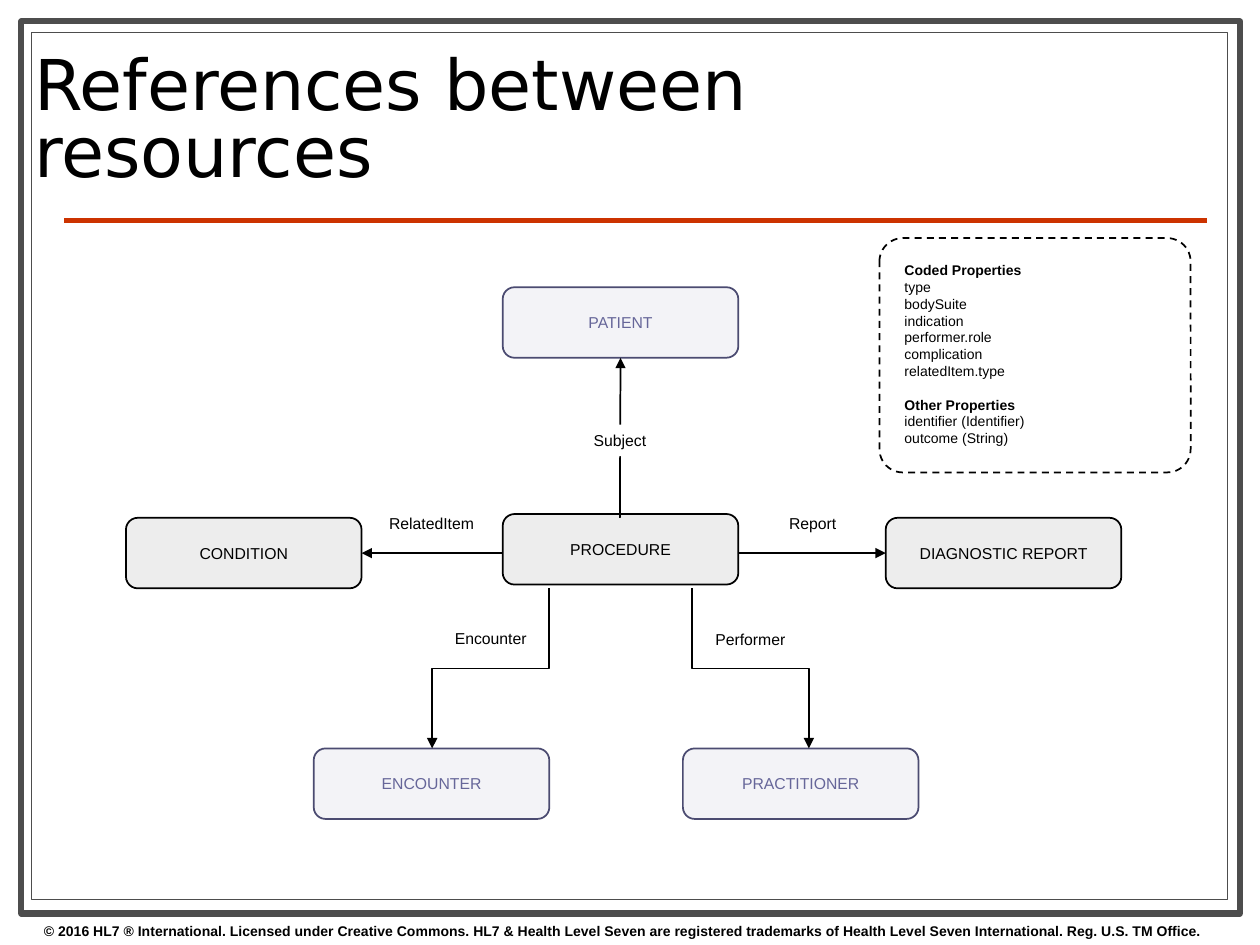
import pptx
import pptx.dml.color
import pptx.enum.dml
import pptx.enum.shapes
import pptx.enum.text
import pptx.oxml
import pptx.oxml.ns
import pptx.util
from lxml import etree
from pptx.util import Inches

SHAPE = pptx.enum.shapes.MSO_SHAPE
CONNECTOR = pptx.enum.shapes.MSO_CONNECTOR
ALIGN = pptx.enum.text.PP_ALIGN
ANCHOR = pptx.enum.text.MSO_ANCHOR
BLACK, FRAME_GREY, RULE_RED = "000000", "4D4D4D", "CC3300"
ACTION = (BLACK, BLACK, 7)
ENTITY = ("666699", "4B4B71", 8)
NODE_WIDTH, NODE_HEIGHT = 1.87, 0.56
ARROW_Y = 2.11


def color(hex_code):
    """Turn a hex string into a colour."""
    return pptx.dml.color.RGBColor.from_string(hex_code)


def set_font(paragraph, size, hex_code=BLACK, bold=False, name="Arial"):
    """Set the font of a whole paragraph."""
    font = paragraph.font
    font.name, font.size, font.bold = name, pptx.util.Pt(size), bold
    font.color.rgb = color(hex_code)


def add_outline(slide, kind, left, top, width, height, hex_code, weight):
    """Add an unfilled, outlined shape."""
    shape = slide.shapes.add_shape(
        kind, Inches(left), Inches(top), Inches(width), Inches(height))
    shape.shadow.inherit = False
    shape.fill.background()
    shape.line.color.rgb = color(hex_code)
    shape.line.width = pptx.util.Pt(weight)
    return shape


def add_line(slide, kind, start, end, hex_code=BLACK, weight=1, arrow=False):
    """Add a connector, with an arrowhead at its end if asked."""
    line = slide.shapes.add_connector(kind, *(Inches(v) for v in (*start, *end)))
    line.line.color.rgb = color(hex_code)
    line.line.width = pptx.util.Pt(weight)
    if arrow:
        tail = etree.SubElement(line.line._get_or_add_ln(), pptx.oxml.ns.qn("a:tailEnd"))
        tail.set("type", "triangle")
    etree.SubElement(line._element.spPr, pptx.oxml.ns.qn("a:effectLst"))
    return line


def add_elbow(slide, start, end):
    """Add an arrow that runs down, across and down again."""
    (x1, y1), (x2, y2) = start, end
    drop, shift = y2 - y1, abs(x2 - x1)
    left, top = (x1 + x2 - drop) / 2, (y1 + y2 - shift) / 2
    corners = [(left, top), (left + drop, top + shift)]
    if x2 > x1:
        corners = [(left + drop, top), (left, top + shift)]
    elbow = add_line(slide, CONNECTOR.ELBOW, *corners, arrow=True)
    elbow.rotation = 270 if x2 > x1 else 90


def add_text_box(slide, left, top, width, height):
    """Add a wrapping text box."""
    box = slide.shapes.add_textbox(
        Inches(left), Inches(top), Inches(width), Inches(height))
    box.text_frame.word_wrap = True
    return box


def add_label(slide, text, left, top, width):
    """Add a centred label for a reference."""
    label = add_text_box(slide, left, top, width, 0.25)
    paragraph = label.text_frame.paragraphs[0]
    paragraph.text, paragraph.alignment = text, ALIGN.CENTER
    set_font(paragraph, 9)
    return label


def add_node(slide, text, left, top, style):
    """Add a rounded box for a resource."""
    text_color, line_color, opacity = style
    node = add_outline(slide, SHAPE.ROUNDED_RECTANGLE, left, top,
                       NODE_WIDTH, NODE_HEIGHT, line_color, 1)
    node.fill.solid()
    node.fill.fore_color.rgb = color(text_color)
    tint = node._element.spPr.find(".//" + pptx.oxml.ns.qn("a:srgbClr"))
    etree.SubElement(tint, pptx.oxml.ns.qn("a:alpha")).set("val", str(opacity * 1000))
    node.text_frame.vertical_anchor = ANCHOR.MIDDLE
    paragraph = node.text_frame.paragraphs[0]
    paragraph.text, paragraph.alignment = text, ALIGN.CENTER
    set_font(paragraph, 9, text_color)
    return node


def add_frame(slide, left, top, width, height):
    """Add the double border, the rule and the copyright line."""
    add_outline(slide, SHAPE.RECTANGLE, left, top, width, height, FRAME_GREY, 3.5)
    add_outline(slide, SHAPE.RECTANGLE, left + 0.08, top + 0.09,
                width - 0.18, height - 0.2, FRAME_GREY, 0.75)
    add_line(slide, CONNECTOR.STRAIGHT, (left + 0.34, top + 1.58),
             (left + width - 0.26, top + 1.58), RULE_RED, 3)
    footer = add_text_box(slide, left + 0.08, top + height + 0.02, 10, 0.23)
    paragraph = footer.text_frame.paragraphs[0]
    paragraph.text = (
        "© 2016 HL7 ® International. Licensed under Creative Commons. "
        "HL7 & Health Level Seven are registered trademarks of "
        "Health Level Seven International. Reg. U.S. TM Office.")
    set_font(paragraph, 8, bold=True)


def place_title(slide, left, top, width, height):
    """Place and format the title."""
    title = slide.shapes.title
    title.left, title.top = Inches(left), Inches(top)
    title.width, title.height = Inches(width), Inches(height)
    frame = title.text_frame
    frame.margin_left = frame.margin_right = frame.margin_top = frame.margin_bottom = 0
    frame.vertical_anchor = ANCHOR.MIDDLE
    frame.auto_size = pptx.enum.text.MSO_AUTO_SIZE.NONE
    paragraph = frame.paragraphs[0]
    paragraph.text = "References between resources"
    paragraph.alignment, paragraph.line_spacing = ALIGN.LEFT, 0.8
    set_font(paragraph, 40, name="DejaVu Sans")


def add_properties(slide, left, top, width, height):
    """Add the dashed panel that lists the properties."""
    panel = add_outline(slide, SHAPE.ROUNDED_RECTANGLE, left, top, width, height, BLACK, 1)
    panel.adjustments[0] = 0.1
    panel.line.dash_style = pptx.enum.dml.MSO_LINE.DASH
    groups = {
        "Coded Properties": ["type", "bodySuite", "indication", "performer.role",
                             "complication", "relatedItem.type"],
        "Other Properties": ["identifier (Identifier)", "outcome (String)"],
    }
    frame = add_text_box(slide, left + 0.1, top + 0.14, width, height - 0.13).text_frame
    for index, (heading, names) in enumerate(groups.items()):
        paragraph = frame.add_paragraph() if index else frame.paragraphs[0]
        paragraph.text = heading
        if index:
            paragraph.space_before = pptx.util.Pt(9.6)
        set_font(paragraph, 8, bold=True)
        for name in names:
            paragraph = frame.add_paragraph()
            paragraph.text = name
            set_font(paragraph, 8)


def add_diagram(slide, left, top):
    """Add the resources and the references between them."""
    node_specs = [
        ("PROCEDURE", 2.99, 1.8, ACTION),
        ("PATIENT", 2.99, 0, ENTITY),
        ("DIAGNOSTIC REPORT", 6.03, 1.83, ACTION),
        ("CONDITION", 0, 1.83, ACTION),
        ("ENCOUNTER", 1.49, 3.66, ENTITY),
        ("PRACTITIONER", 4.42, 3.66, ENTITY),
    ]
    nodes = {text: add_node(slide, text, left + x, top + y, style)
             for text, x, y, style in node_specs}
    arrows = [
        ((3.92, 1.83), (3.92, 0.56), "PATIENT", 2),
        ((4.86, ARROW_Y), (6.03, ARROW_Y), "DIAGNOSTIC REPORT", 1),
        ((2.99, ARROW_Y), (1.87, ARROW_Y), "CONDITION", 3),
    ]
    for (x1, y1), (x2, y2), target, side in arrows:
        arrow = add_line(slide, CONNECTOR.STRAIGHT, (left + x1, top + y1),
                         (left + x2, top + y2), arrow=True)
        arrow.end_connect(nodes[target], side)
    for x1, x2 in ((3.36, 2.43), (4.49, 5.42)):
        add_elbow(slide, (left + x1, top + 2.39), (left + x2, top + 3.66))
    subject = add_label(slide, "Subject", left + 3.32, top + 1.09, 1.2)
    subject.fill.solid()
    subject.fill.fore_color.rgb = color("FFFFFF")
    for text, x, y, width in (("Report", 4.86, 1.75, 1.18),
                              ("RelatedItem", 1.86, 1.75, 1.13),
                              ("Encounter", 2.43, 2.66, 0.93),
                              ("Performer", 4.49, 2.67, 0.93)):
        add_label(slide, text, left + x, top + y, width)


def main():
    """Build and save the slide."""
    deck = pptx.Presentation()
    deck.slide_width, deck.slide_height = Inches(10), Inches(7.5)
    slide = deck.slides.add_slide(deck.slide_layouts.get_by_name("Title Only"))
    add_frame(slide, 0.17, 0.17, 9.67, 7.08)
    place_title(slide, 0.27, 0.64, 6.23, 0.69)
    add_properties(slide, 6.98, 1.89, 2.47, 1.86)
    add_diagram(slide, 1, 2.28)
    deck.save("out.pptx")


if __name__ == "__main__":
    main()
